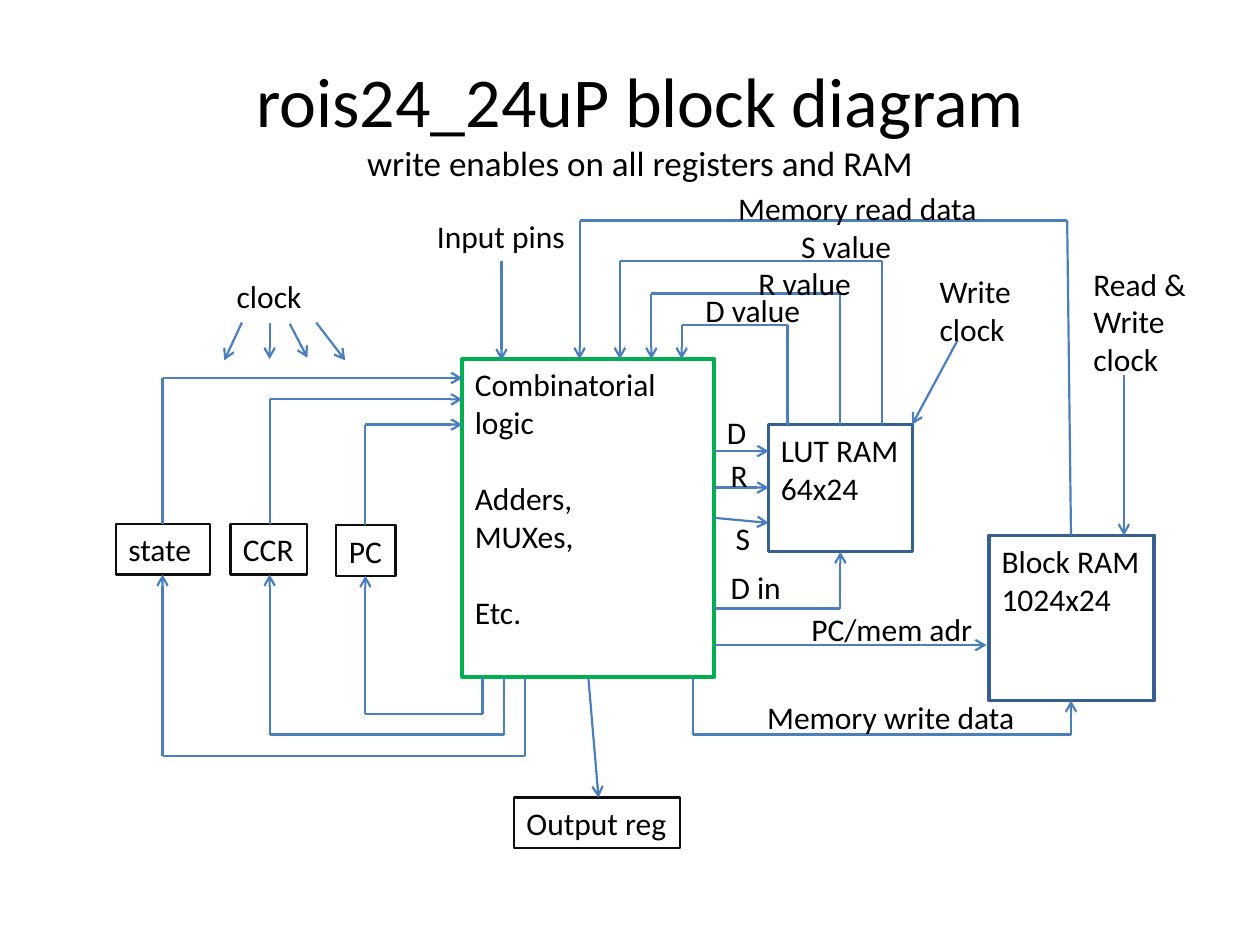
from lxml import etree
from pptx import Presentation
from pptx.dml.color import RGBColor
from pptx.enum.shapes import MSO_CONNECTOR, MSO_SHAPE
from pptx.enum.text import MSO_ANCHOR, PP_ALIGN
from pptx.oxml.ns import qn
from pptx.util import Pt

PX = 9144  # EMU per px, 100 px to the inch
STRAIGHT = MSO_CONNECTOR.STRAIGHT
RECTANGLE = MSO_SHAPE.RECTANGLE
TOP, MIDDLE = MSO_ANCHOR.TOP, MSO_ANCHOR.MIDDLE
LEFT, CENTER = PP_ALIGN.LEFT, PP_ALIGN.CENTER

FONT = "Calibri"
BLACK = RGBColor(0x00, 0x00, 0x00)
REGISTER = RGBColor(0x0D, 0x0D, 0x0D)
LOGIC = RGBColor(0x00, 0xB0, 0x50)
MEMORY = RGBColor(0x37, 0x60, 0x92)
WIRE = RGBColor(0x4B, 0x7E, 0xBC)


def write(text_frame, text, wrap=False, anchor=TOP, align=LEFT, sizes=(18,), gaps=()):
    """One paragraph per line, \\v breaks a line; gaps lists paragraphs one line further down."""
    text_frame.word_wrap = wrap
    text_frame.vertical_anchor = anchor
    for number, line in enumerate(text.split("\n")):
        paragraph = text_frame.paragraphs[0] if number == 0 else text_frame.add_paragraph()
        paragraph.alignment = align
        if number in gaps:
            paragraph.space_before = Pt(22)
        for part, piece in enumerate(line.split("\v")):
            if part:
                paragraph.add_line_break()
            run = paragraph.add_run()
            run.text = piece
            run.font.name = FONT
            run.font.size = Pt(sizes[part])
            run.font.color.rgb = BLACK


def draw_wire(points, arrow=True):
    """Straight segments through the points, with an arrowhead at the last one."""
    for start, end in zip(points, points[1:]):
        connector = slide.shapes.add_connector(STRAIGHT, *(v * PX for v in start + end))
        connector.line.color.rgb = WIRE
        connector.line.width = Pt(1.25)
        properties = connector._element.spPr
        if arrow and end == points[-1]:
            etree.SubElement(properties.find(qn("a:ln")), qn("a:tailEnd"), type="arrow")
        etree.SubElement(properties, qn("a:effectLst"))


presentation = Presentation()
presentation.slide_width, presentation.slide_height = 1000 * PX, 750 * PX
slide = presentation.slides.add_slide(presentation.slide_layouts[5])

# Title
title = slide.shapes.title
title.left, title.top, title.width, title.height = (v * PX for v in (58, 33, 900, 125))
write(title.text_frame, "rois24_24uP block diagram\vwrite enables on all registers and RAM",
      wrap=True, anchor=MIDDLE, align=CENTER, sizes=(40, 20))

# Blocks: text, left, top, width, height, line colour, line width, format
blocks = [
    ("PC", 267, 417, 47, 40, REGISTER, 1.25, {}),
    ("state", 92, 416, 75, 40, REGISTER, 1.25, {"wrap": True}),
    ("CCR", 183, 416, 61, 40, REGISTER, 1.25, {}),
    ("Combinatorial logic\nAdders,\nMUXes,\nEtc.", 367, 285, 200, 252, LOGIC, 2.25,
     {"wrap": True, "gaps": (1, 3)}),
    ("Output reg", 408, 633, 132, 40, REGISTER, 1.25, {}),
    ("LUT RAM\n64x24", 610, 337, 114, 101, MEMORY, 1.75, {}),
    ("Block RAM\n1024x24", 785, 425, 131, 131, MEMORY, 2.25, {}),
]
for text, left, top, width, height, color, line_width, text_format in blocks:
    block = slide.shapes.add_shape(RECTANGLE, left * PX, top * PX, width * PX, height * PX)
    block.shadow.inherit = False
    block.fill.background()
    block.line.color.rgb = color
    block.line.width = Pt(line_width)
    write(block.text_frame, text, **text_format)

# Registers: feedback into the logic above, new value from the logic below
for x, top, bottom, entry_y, exit_x, low_y in [
    (290, 417, 457, 337, 383, 567),
    (214, 416, 456, 317, 400, 583),
    (129, 416, 456, 300, 417, 600),
]:
    draw_wire([(x, top), (x, entry_y), (367, entry_y)])
    draw_wire([(exit_x, 537), (exit_x, low_y), (x, low_y), (x, bottom)])

# LUT RAM outputs: D, R and S values back to the logic
for from_x, high_y, to_x in [(625, 258, 541), (667, 233, 517), (700, 207, 492)]:
    draw_wire([(from_x, 337), (from_x, high_y), (to_x, high_y), (to_x, 285)])

# Other wires
for points in [
    [(398, 207), (398, 286)],                          # input pins
    [(467, 538), (475, 633)],                          # output register
    [(567, 358), (610, 358)],                          # D
    [(567, 387), (610, 387)],                          # R
    [(567, 411), (610, 415)],                          # S
    [(567, 483), (667, 483), (667, 438)],              # D in
    [(567, 512), (783, 512)],                          # PC/mem adr
    [(550, 537), (550, 583), (850, 583), (850, 556)],  # memory write data
    [(850, 425), (847, 175), (460, 175), (460, 285)],  # memory read data
    [(192, 256), (178, 286)],                          # register clocks
    [(214, 256), (214, 285)],
    [(230, 257), (244, 284)],
    [(251, 256), (274, 286)],
    [(760, 270), (724, 337)],                          # LUT RAM write clock
    [(892, 298), (892, 425)],                          # block RAM clock
]:
    draw_wire(points)

# Labels: text, left, top, width, height
for text, left, top, width, height in [
    ("Input pins", 337, 167, 123, 40),
    ("Memory read data", 576, 145, 212, 40),
    ("S value", 626, 175, 92, 40),
    ("R value", 592, 205, 95, 40),
    ("D value", 550, 226, 96, 40),
    ("D in", 570, 446, 61, 40),
    ("PC/mem adr", 634, 479, 149, 40),
    ("Memory write data", 599, 549, 218, 40),
    ("D", 567, 323, 36, 40),
    ("R", 570, 357, 34, 40),
    ("S", 574, 407, 32, 40),
    ("clock", 178, 215, 72, 40),
    ("Write\nclock", 736, 211, 77, 71),
    ("Read &\nWrite\nclock", 858, 205, 94, 101),
]:
    label = slide.shapes.add_textbox(left * PX, top * PX, width * PX, height * PX)
    write(label.text_frame, text)

presentation.save("out.pptx")
